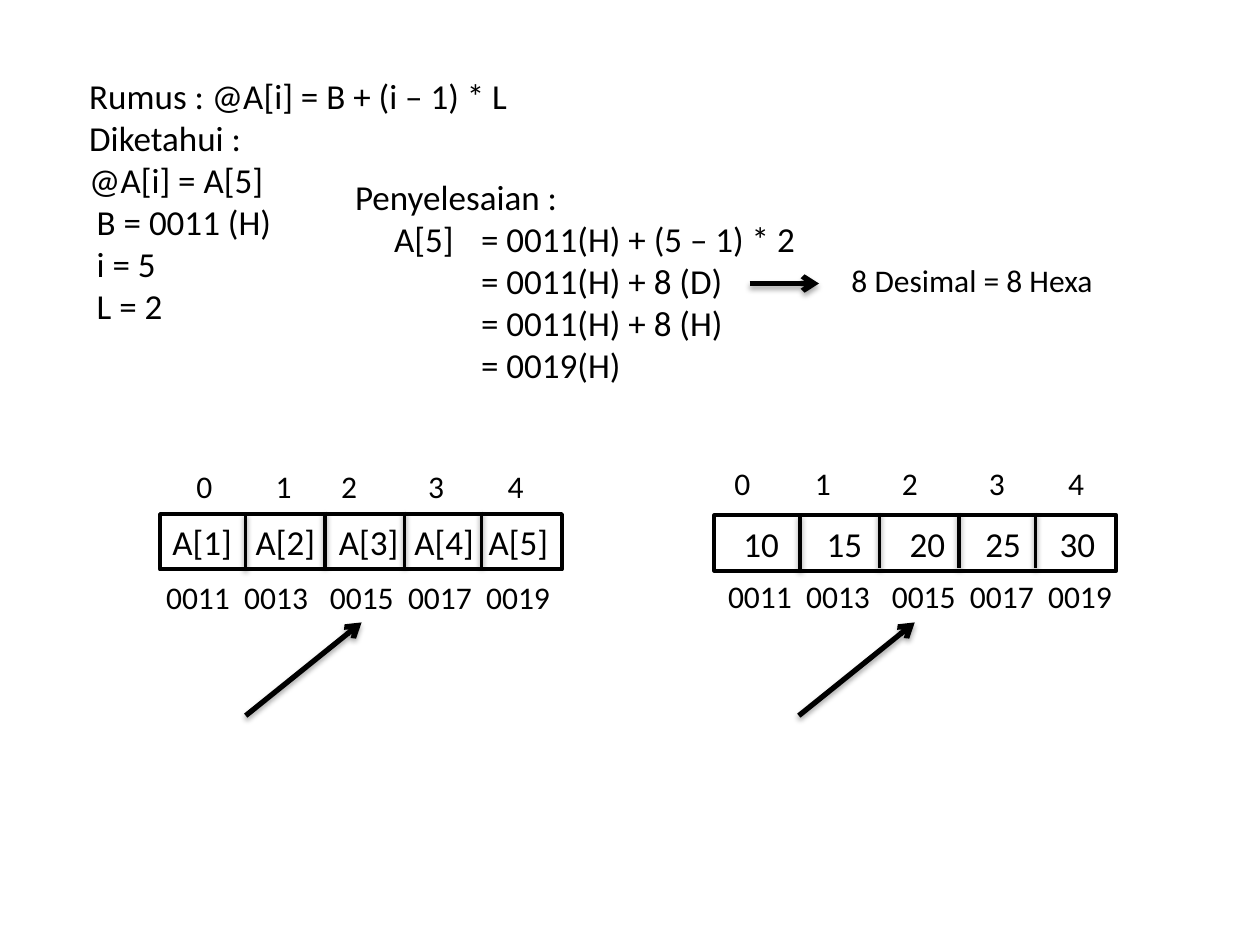
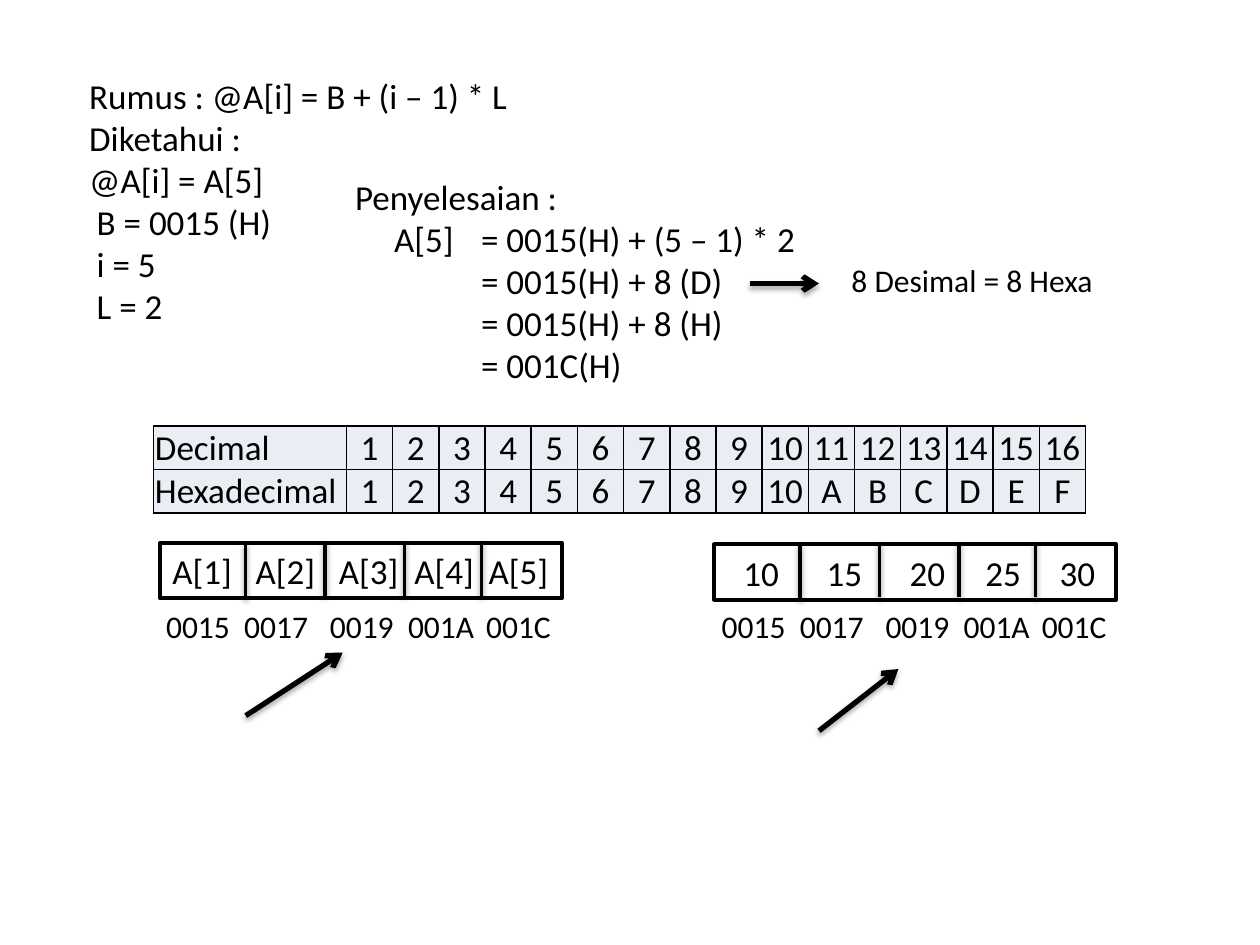
from lxml import etree
from pptx import Presentation
from pptx.dml.color import RGBColor
from pptx.enum import shapes, text
from pptx.oxml import ns
from pptx.util import Inches, Pt

BLACK = RGBColor(0x00, 0x00, 0x00)
PALE_BLUE = RGBColor(0xE9, 0xED, 0xF4)
FONT = "Calibri"

# Content: one entry per slide; each array is (left, top, margin, cells)
NAMES = ["A[1]", "A[2]", "A[3]", "A[4]", "A[5]"]
VALUES = ["10", "15", "20", "25", "30"]
INDEXES = ["0", "1", "2", "3", "4"]
PAGES = [
    {
        "base": "0011", "result": "0019",
        "addresses": ["0011", "0013", "0015", "0017", "0019"],
        "address_boxes": [(1.22, 4.54), (5.68, 4.53)],
        "arrays": [(1.27, 4.08, 0.1, NAMES), (5.67, 4.09, 0.23, VALUES)],
        "pointers": [(1.95, 5.68, 2.87, 4.94), (6.34, 5.68, 7.26, 4.94)],
        "index_boxes": [(1.46, 3.66, [0.63, 1.15, 1.84, 2.47]),
                        (5.73, 3.63, [0.64, 1.33, 2.02, 2.65])],
        "table": None,
    },
    {
        "base": "0015", "result": "001C",
        "addresses": ["0015", "0017", "0019", "001A", "001C"],
        "address_boxes": [(1.22, 4.77), (5.63, 4.77)],
        "arrays": [(1.27, 4.31, 0.1, NAMES), (5.67, 4.32, 0.23, VALUES)],
        "pointers": [(1.95, 5.68, 2.72, 5.18), (6.5, 5.8, 7.13, 5.31)],
        "index_boxes": [],
        "table": [["Decimal"] + [str(n) for n in range(1, 17)],
                  ["Hexadecimal"] + [str(n) for n in range(1, 11)] + list("ABCDEF")],
    },
]

# Shared measures, in inches from the start of an array or its text
ARRAY_WIDTH, ARRAY_HEIGHT = 3.19, 0.44
DIVIDERS = [(0.68, 0), (1.31, -0.02), (1.94, -0.02), (2.55, -0.02)]
CELL_TABS = [0.66, 1.32, 1.92, 2.51]
ADDRESS_TABS = [0.62, 1.3, 1.92, 2.54]
TABLE_AREA = (1.22, 3.38, 7.4, 0.69)
LABEL_WIDTH = 1.53


def format_para(para, size, tabs=()):
    for span in para.runs:
        span.font.name = FONT
        span.font.size = Pt(size)
        span.font.color.rgb = BLACK
    if tabs:
        stops = etree.SubElement(para._p.get_or_add_pPr(), ns.qn("a:tabLst"))
        for stop in tabs:
            etree.SubElement(stops, ns.qn("a:tab"), pos=str(Inches(stop)), algn="l")


def add_text(page, left, top, width, height, lines, size):
    """Each line is (text, tab stops, left indent)."""
    box = page.shapes.add_textbox(*map(Inches, (left, top, width, height)))
    frame = box.text_frame
    frame.word_wrap = True
    frame.auto_size = text.MSO_AUTO_SIZE.SHAPE_TO_FIT_TEXT
    frame.text = "\n".join(line[0] for line in lines)
    for para, (_, tabs, indent) in zip(frame.paragraphs, lines):
        format_para(para, size, tabs)
        if indent:
            para._p.get_or_add_pPr().set("marL", str(Inches(indent)))


def add_line(holder, x1, y1, x2, y2, width, arrow=False):
    line = holder.shapes.add_connector(
        shapes.MSO_CONNECTOR.STRAIGHT, *map(Inches, (x1, y1, x2, y2)))
    line.line.color.rgb = BLACK
    line.line.width = Pt(width)
    if arrow:
        etree.SubElement(line.line._get_or_add_ln(), ns.qn("a:tailEnd"), type="arrow")
    # Soft shadow straight below
    distance, opacity = (1.8, 35) if arrow else (1.6, 38)
    effects = etree.SubElement(line._element.spPr, ns.qn("a:effectLst"))
    shadow = etree.SubElement(
        effects, ns.qn("a:outerShdw"), blurRad=str(Pt(3.1)), dist=str(Pt(distance)),
        dir="5400000", rotWithShape="0")
    color = etree.SubElement(shadow, ns.qn("a:srgbClr"), val=str(BLACK))
    etree.SubElement(color, ns.qn("a:alpha"), val=str(opacity * 1000))


def add_array(page, left, top, margin, cells):
    group = page.shapes.add_group_shape()
    box = group.shapes.add_shape(
        shapes.MSO_SHAPE.RECTANGLE,
        *map(Inches, (left, top, ARRAY_WIDTH, ARRAY_HEIGHT)))
    box.shadow.inherit = False
    box.fill.background()
    box.line.color.rgb = BLACK
    box.line.width = Pt(2.25)
    frame = box.text_frame
    frame.word_wrap = True
    frame.margin_left = Inches(margin)
    frame.text = "\t".join(cells)
    frame.paragraphs[0].alignment = text.PP_ALIGN.LEFT
    format_para(frame.paragraphs[0], 20, CELL_TABS)
    for x, y in DIVIDERS:
        add_line(group, left + x, top + y, left + x, top + y + ARRAY_HEIGHT, 2)


def add_number_table(page, rows):
    left, top, width, height = TABLE_AREA
    table = page.shapes.add_table(
        len(rows), len(rows[0]), *map(Inches, TABLE_AREA)).table
    table.first_row = table.horz_banding = False
    number_width = (width - LABEL_WIDTH) / (len(rows[0]) - 1)
    for i, column in enumerate(table.columns):
        column.width = Inches(number_width if i else LABEL_WIDTH)
    for r, row in enumerate(rows):
        table.rows[r].height = Inches(height / len(rows))
        for c, value in enumerate(row):
            cell = table.cell(r, c)
            cell.text = value
            cell.margin_left = cell.margin_right = cell.margin_top = Inches(0.01)
            cell.margin_bottom = 0
            cell.vertical_anchor = text.MSO_ANCHOR.BOTTOM
            para = cell.text_frame.paragraphs[0]
            para.alignment = text.PP_ALIGN.CENTER if c else text.PP_ALIGN.LEFT
            format_para(para, 20)
            # Borders come before the fill in the cell properties
            for side in ("lnL", "lnR", "lnT", "lnB"):
                border = etree.SubElement(
                    cell._tc.get_or_add_tcPr(), ns.qn("a:" + side), w=str(Pt(1)))
                fill = etree.SubElement(border, ns.qn("a:solidFill"))
                etree.SubElement(fill, ns.qn("a:srgbClr"), val=str(BLACK))
            cell.fill.solid()
            cell.fill.fore_color.rgb = PALE_BLUE


deck = Presentation()
deck.slide_width, deck.slide_height = Inches(10), Inches(7.5)

for content in PAGES:
    page = deck.slides.add_slide(deck.slide_layouts[6])
    base = content["base"]

    # Formula, known values and solution
    add_text(page, 0.61, 0.54, 6.83, 2.12, [
        ("Rumus : @A[i] = B + (i – 1) * L", (), 0),
        ("Diketahui :", (), 0),
        ("@A[i] = A[5]", (), 0),
        (f"B = {base} (H)", (), 0.06),
        ("i = 5", (), 0.06),
        ("L = 2", (), 0.06),
    ], 20)
    add_text(page, 2.72, 1.34, 6.53, 1.78, [
        ("Penyelesaian :", (), 0),
        (f"\tA[5]\t= {base}(H) + (5 – 1) * 2", (0.31, 1), 0),
        (f"\t= {base}(H) + 8 (D)", (1,), 0),
        (f"\t= {base}(H) + 8 (H)", (1,), 0),
        (f"\t= {content['result']}(H)", (1,), 0),
    ], 20)
    add_text(page, 6.66, 2.02, 2.2, 0.4, [("8 Desimal = 8 Hexa", (), 0)], 18)
    add_line(page, 5.95, 2.25, 6.5, 2.25, 3, arrow=True)

    # Arrays with addresses, indexes and pointers
    for array in content["arrays"]:
        add_array(page, *array)
    for left, top in content["address_boxes"]:
        add_text(page, left, top, 3.34, 0.4,
                 [("\t".join(content["addresses"]), ADDRESS_TABS, 0)], 18)
    for pointer in content["pointers"]:
        add_line(page, *pointer, 3, arrow=True)
    for left, top, tabs in content["index_boxes"]:
        add_text(page, left, top, 3.04, 0.4, [("\t".join(INDEXES), tabs, 0)], 18)

    # Number conversion
    if content["table"]:
        add_number_table(page, content["table"])

deck.save("out.pptx")
